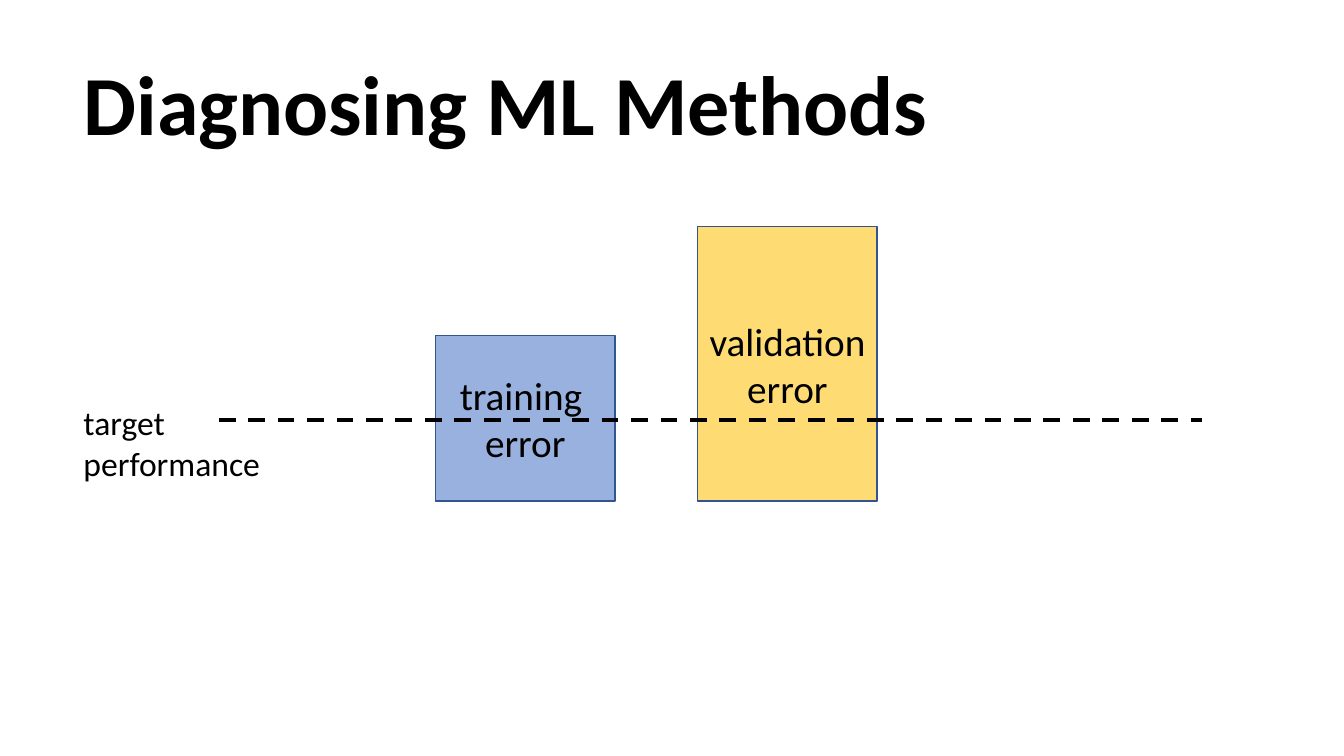
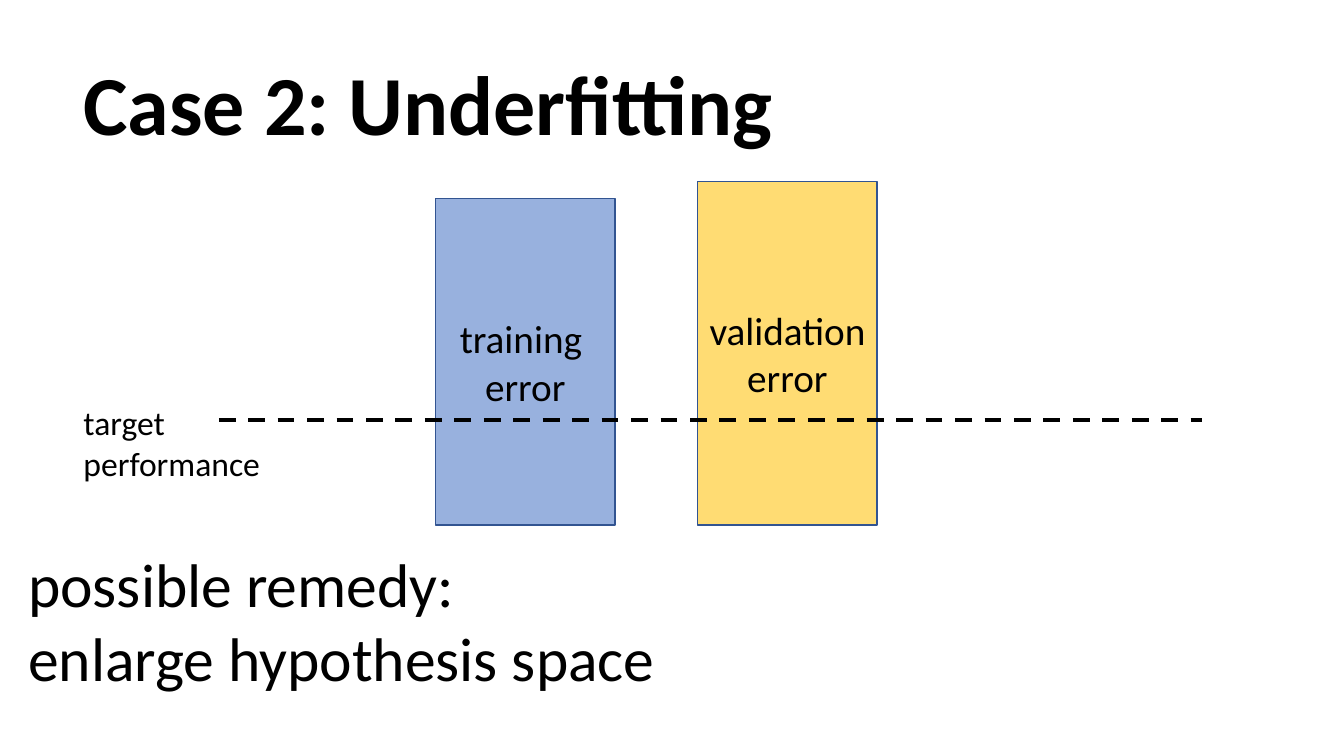
"""Build two slides that compare training and validation error with a target."""
from lxml.etree import SubElement
from pptx import Presentation
from pptx.dml.color import RGBColor
from pptx.enum.dml import MSO_LINE
from pptx.enum.shapes import MSO_CONNECTOR, MSO_SHAPE
from pptx.enum.text import MSO_ANCHOR, PP_ALIGN
from pptx.oxml.ns import qn
from pptx.util import Inches, Pt

BLACK = RGBColor(0x00, 0x00, 0x00)
BLUE = RGBColor(0x44, 0x72, 0xC4)
GOLD = RGBColor(0xFF, 0xC0, 0x00)
EDGE = RGBColor(0x32, 0x54, 0x91)
FONT = {"name": "Calibri", "color": BLACK, "bold": False}
BAR_W = 1.78
BARS = (("training ", BLUE, 4.32), ("validation ", GOLD, 6.92))
TARGET_Y = 4.17
CASES = (
    {"title": "Diagnosing ML Methods", "base": 4.97, "tops": (3.33, 2.25)},
    {"title": "Case 2: Underfitting", "base": 5.21, "tops": (1.97, 1.8),
     "remedy": ("possible remedy:", "enlarge hypothesis space")},
)


def style(font, **extra):
    for key, value in {**FONT, **extra}.items():
        if key == "color":
            font.color.rgb = value
        else:
            setattr(font, key, value)


def write(frame, lines, size, align=PP_ALIGN.LEFT, space=1.0, bold=False):
    for i, line in enumerate(lines):
        para = frame.add_paragraph() if i else frame.paragraphs[0]
        para.alignment = align
        para.line_spacing = space
        run = para.add_run()
        run.text = line
        style(run.font, size=Pt(size), bold=bold)


def add_text(slide, box, lines, size, wrap=False, anchor=MSO_ANCHOR.TOP, **form):
    frame = slide.shapes.add_textbox(*map(Inches, box)).text_frame
    frame.word_wrap = wrap
    frame.vertical_anchor = anchor
    write(frame, lines, size, **form)


def add_title(slide, text):
    add_text(slide, (0.73, 0.35, 12.15, 1.45), [text], 60, wrap=True,
             anchor=MSO_ANCHOR.MIDDLE, space=0.9, bold=True)


def add_bar(slide, label, color, left, top, base):
    box = map(Inches, (left, top, BAR_W, base - top))
    bar = slide.shapes.add_shape(MSO_SHAPE.RECTANGLE, *box)
    bar.shadow.inherit = False
    bar.fill.solid()
    bar.fill.fore_color.rgb = color
    tint = bar.fill._xPr.find(qn("a:solidFill"))[0]
    SubElement(tint, qn("a:alpha"), val="55000")
    bar.line.color.rgb = EDGE
    bar.line.width = Pt(1)
    bar.text_frame.vertical_anchor = MSO_ANCHOR.MIDDLE
    write(bar.text_frame, (label, "error"), 28, align=PP_ALIGN.CENTER)


def add_target(slide):
    ends = map(Inches, (2.17, TARGET_Y, 11.92, TARGET_Y))
    rule = slide.shapes.add_connector(MSO_CONNECTOR.STRAIGHT, *ends)
    rule.line.color.rgb = BLACK
    rule.line.width = Pt(3)
    rule.line.dash_style = MSO_LINE.DASH
    SubElement(rule._element.spPr, qn("a:effectLst"))
    add_text(slide, (0.73, 3.94, 1.97, 0.91), ("target", "performance"), 24)


def add_case(deck, case):
    slide = deck.slides.add_slide(deck.slide_layouts[6])
    add_title(slide, case["title"])
    for (label, color, left), top in zip(BARS, case["tops"]):
        add_bar(slide, label, color, left, top, case["base"])
    add_target(slide)
    if "remedy" in case:
        add_text(slide, (0.18, 5.37, 6.49, 1.58), case["remedy"], 44)


def main():
    deck = Presentation()
    deck.slide_width = Inches(13.33)
    deck.slide_height = Inches(7.5)
    for case in CASES:
        add_case(deck, case)
    deck.save("out.pptx")


if __name__ == "__main__":
    main()
